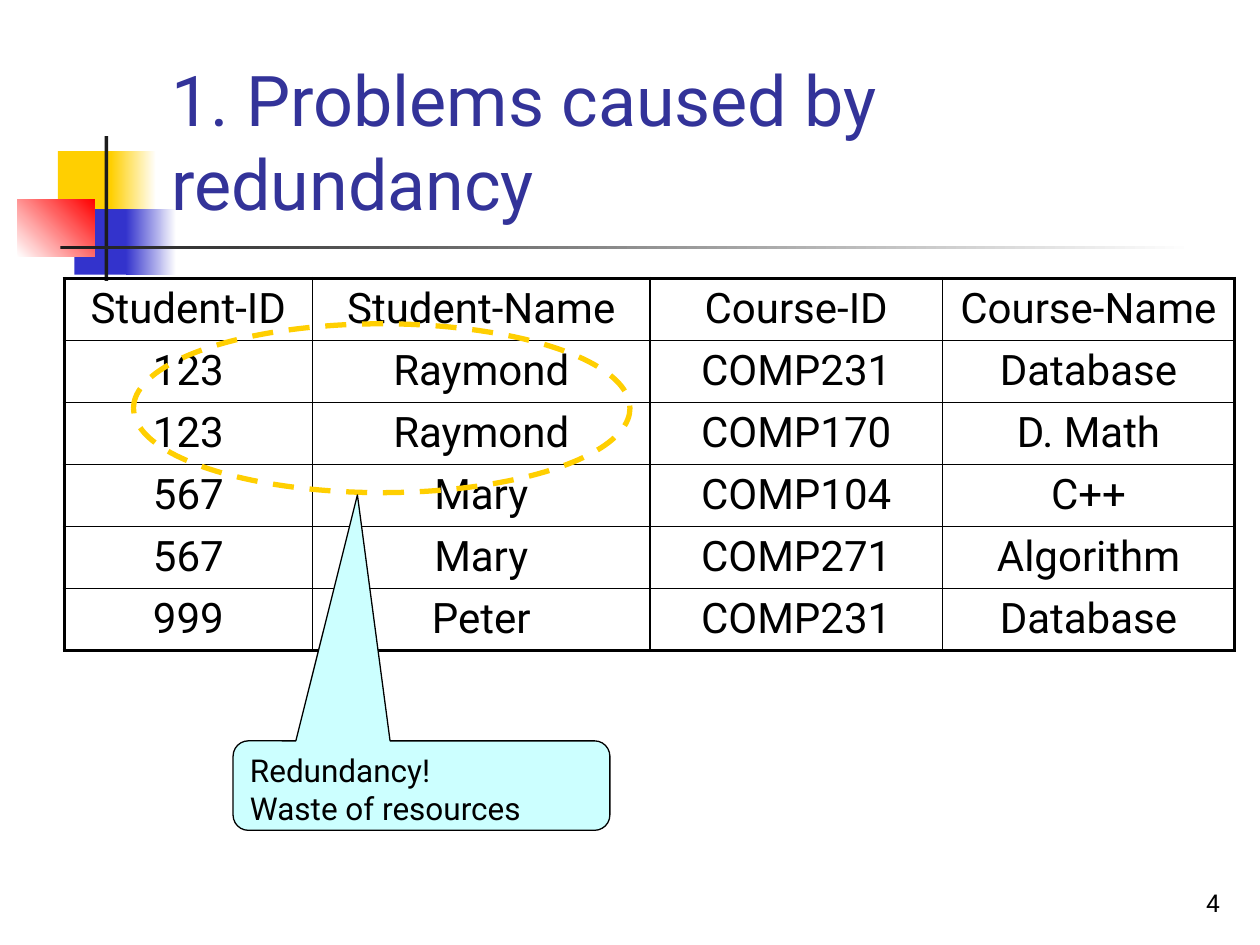
from lxml.etree import SubElement
from pptx import Presentation
from pptx.dml.color import RGBColor
from pptx.enum.dml import MSO_LINE
from pptx.enum.shapes import MSO_SHAPE as Preset
from pptx.enum.text import MSO_ANCHOR as Anchor, MSO_AUTO_SIZE as AutoSize, PP_ALIGN as Align
from pptx.oxml.ns import qn
from pptx.util import Inches, Pt

FONT = "Roboto"
BLACK, WHITE, YELLOW, BLUE, RED = "000000", "FFFFFF", "FFCF01", "3333CC", "FF0000"
CHARCOAL, TITLE_BLUE, PALE_CYAN = "1C1C1C", "333399", "CCFFFF"

# left, top, width, height, colours (two make a gradient), gradient angle
DECORATION = [
    (0.46, 1.2, 0.48, 0.52, [YELLOW], 0),
    (0.88, 1.2, 0.36, 0.52, [YELLOW, WHITE], 0),
    (0.59, 1.66, 0.46, 0.52, [BLUE], 0),
    (1, 1.66, 0.4, 0.52, [BLUE, WHITE], 0),
    (0.14, 1.58, 0.61, 0.46, [WHITE, RED], 45),
    (0.83, 1.08, 0.03, 1.15, [CHARCOAL], 0),
    (0.48, 1.95, 9, 0.03, [CHARCOAL, WHITE], 0),
]
COLUMN_WIDTHS = [1.97, 2.68, 2.32, 2.32]
ROW_HEIGHT = 0.49
ENROLMENTS = [
    ("Student-ID", "Student-Name", "Course-ID", "Course-Name"),
    ("123", "Raymond", "COMP231", "Database"),
    ("123", "Raymond", "COMP170", "D. Math"),
    ("567", "Mary", "COMP104", "C++"),
    ("567", "Mary", "COMP271", "Algorithm"),
    ("999", "Peter", "COMP231", "Database"),
]


def rgb(color):
    return RGBColor.from_string(color)


def write(frame, text, size, color=BLACK, align=Align.LEFT, anchor=Anchor.TOP):
    frame.text = text
    frame.word_wrap = True
    frame.vertical_anchor = anchor
    for paragraph in frame.paragraphs:
        paragraph.alignment = align
        font = paragraph.font
        font.name, font.size, font.color.rgb = FONT, Pt(size), rgb(color)


def add_shape(slide, preset, left, top, width, height):
    shape = slide.shapes.add_shape(
        preset, Inches(left), Inches(top), Inches(width), Inches(height))
    shape.shadow.inherit = False
    return shape


def add_decoration(slide):
    for left, top, width, height, colors, angle in DECORATION:
        block = add_shape(slide, Preset.RECTANGLE, left, top, width, height)
        block.line.fill.background()
        if len(colors) == 1:
            block.fill.solid()
            block.fill.fore_color.rgb = rgb(colors[0])
            continue
        block.fill.gradient()
        block.fill.gradient_angle = angle
        for stop, color, position in zip(block.fill.gradient_stops, colors, (0, 1)):
            stop.color.rgb = rgb(color)
            stop.position = position


def set_title(slide, text):
    title = slide.shapes.title
    title.left, title.top = Inches(1.26), Inches(0.23)
    title.width, title.height = Inches(8.52), Inches(1.6)
    write(title.text_frame, text, 40, TITLE_BLUE, anchor=Anchor.BOTTOM)
    title.text_frame.auto_size = AutoSize.NONE
    # Bring the title in front of the decoration
    title.element.getparent().append(title.element)


def add_slide_number(slide, number):
    box = slide.shapes.add_textbox(Inches(7.7), Inches(6.83), Inches(2.08), Inches(0.5))
    write(box.text_frame, number, 14, align=Align.RIGHT, anchor=Anchor.BOTTOM)


def set_borders(cell, outer_sides):
    """Draw thick borders on the outer sides and thin ones elsewhere."""
    properties = cell._tc.get_or_add_tcPr()
    for index, (side, outer) in enumerate(outer_sides.items()):
        line = properties.makeelement(
            qn(f"a:{side}"), {"w": str(Pt(2.25 if outer else 1))})
        fill = SubElement(line, qn("a:solidFill"))
        SubElement(fill, qn("a:srgbClr"), val=BLACK)
        properties.insert(index, line)


def add_enrolment_table(slide):
    row_count, column_count = len(ENROLMENTS), len(COLUMN_WIDTHS)
    table = slide.shapes.add_table(
        row_count, column_count, Inches(0.51), Inches(2.21),
        Inches(sum(COLUMN_WIDTHS)), Inches(ROW_HEIGHT * row_count)).table
    table.first_row = table.horz_banding = False
    for column, width in zip(table.columns, COLUMN_WIDTHS):
        column.width = Inches(width)
    for row, values in enumerate(ENROLMENTS):
        table.rows[row].height = Inches(ROW_HEIGHT)
        for column, value in enumerate(values):
            cell = table.cell(row, column)
            cell.fill.background()
            write(cell.text_frame, value, 24, align=Align.CENTER)
            set_borders(cell, {
                "lnL": column == 0, "lnR": column == column_count - 1,
                "lnT": row == 0, "lnB": row == row_count - 1})


def add_highlight(slide):
    ellipse = add_shape(slide, Preset.OVAL, 1.06, 2.57, 3.94, 1.34)
    ellipse.fill.background()
    ellipse.line.color.rgb = rgb(YELLOW)
    ellipse.line.width = Pt(3)
    ellipse.line.dash_style = MSO_LINE.DASH


def add_callout(slide, text):
    callout = add_shape(slide, Preset.ROUNDED_RECTANGULAR_CALLOUT, 1.85, 5.88, 2.99, 0.71)
    for index, value in enumerate((-0.17, -3.25, 0.17)):
        callout.adjustments[index] = value
    callout.fill.solid()
    callout.fill.fore_color.rgb = rgb(PALE_CYAN)
    callout.line.color.rgb = rgb(BLACK)
    callout.line.width = Pt(0.75)
    write(callout.text_frame, text, 18)


def main():
    presentation = Presentation()
    presentation.slide_width, presentation.slide_height = Inches(10), Inches(7.5)
    slide = presentation.slides.add_slide(presentation.slide_layouts[5])
    add_decoration(slide)
    add_slide_number(slide, "4")
    set_title(slide, "1. Problems caused by redundancy")
    add_enrolment_table(slide)
    add_highlight(slide)
    add_callout(slide, "Redundancy!\nWaste of resources")
    presentation.save("out.pptx")


if __name__ == "__main__":
    main()
